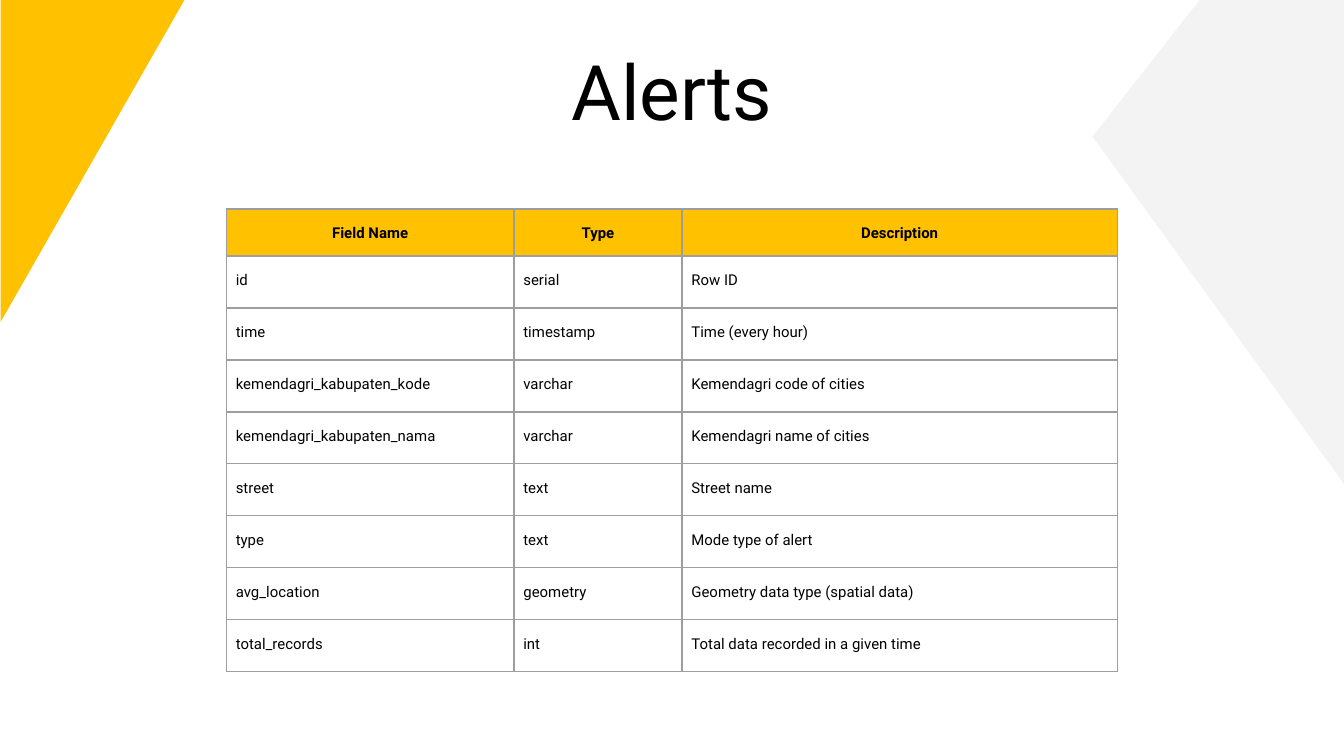
from lxml.etree import SubElement
from pptx import Presentation
from pptx.dml.color import RGBColor
from pptx.enum.shapes import MSO_SHAPE as Shape
from pptx.enum.text import MSO_ANCHOR as Anchor, MSO_AUTO_SIZE as AutoSize, PP_ALIGN as Align
from pptx.oxml.ns import qn
from pptx.util import Inches, Pt

YELLOW, GRAY, LINE, BLACK = "FFC100", "F3F3F3", "9E9E9E", "000000"
COLUMNS = [Inches(2.14), Inches(1.25), Inches(3.24)]
HEADER_HEIGHT, ROW_HEIGHT = Pt(23), Pt(27.85)
FIELDS = [
    ("Field Name", "Type", "Description"),
    ("id", "serial", "Row ID"),
    ("time", "timestamp", "Time (every hour)"),
    ("kemendagri_kabupaten_kode", "varchar", "Kemendagri code of cities"),
    ("kemendagri_kabupaten_nama", "varchar", "Kemendagri name of cities"),
    ("street", "text", "Street name"),
    ("type", "text", "Mode type of alert"),
    ("avg_location", "geometry", "Geometry data type (spatial data)"),
    ("total_records", "int", "Total data recorded in a given time"),
]


def color(value):
    """Turn a hex string into a colour."""
    return RGBColor.from_string(value)


def write(tf, text, size, bold=False, align=Align.LEFT, spacing=1.0, before=0):
    """Put one formatted paragraph into a text frame."""
    p = tf.paragraphs[0]
    p.alignment, p.line_spacing, p.space_before = align, spacing, Pt(before)
    r = p.add_run()
    r.text = text
    r.font.name, r.font.size, r.font.bold = "Roboto", Pt(size), bold
    r.font.color.rgb = color(BLACK)


def add_corner(s, kind, box, rotation, fill):
    """Add a plain rotated triangle that decorates a corner."""
    sp = s.shapes.add_shape(kind, *map(Inches, box))
    sp.rotation = rotation
    sp.shadow.inherit = False
    sp.fill.solid()
    sp.fill.fore_color.rgb = color(fill)
    sp.line.fill.background()
    return sp


def set_title(s, text):
    """Place and fill the title placeholder."""
    sp = s.shapes.title
    sp.left, sp.top, sp.width, sp.height = map(Inches, (0.57, 0.23, 8.86, 0.63))
    tf = sp.text_frame
    tf.margin_left = tf.margin_top = tf.margin_right = tf.margin_bottom = Inches(0.1)
    tf.vertical_anchor, tf.auto_size = Anchor.TOP, AutoSize.NONE
    write(tf, text, 41, align=Align.CENTER)


def set_borders(cell, widths):
    """Draw the left, right, top and bottom borders of a cell."""
    tc_pr = cell._tc.get_or_add_tcPr()
    for side, width in zip("LRTB", widths):
        ln = SubElement(tc_pr, qn(f"a:ln{side}"), w=str(Pt(width)))
        fill = SubElement(ln, qn("a:solidFill"))
        SubElement(fill, qn("a:srgbClr"), val=LINE)


def fill_cell(cell, text, header):
    """Write and format one table cell."""
    cell.margin_left = cell.margin_right = Inches(0.07)
    cell.margin_top = cell.margin_bottom = Inches(0.1)
    set_borders(cell, (1, 1, 1, 0.75) if header else (0.75,) * 4)
    if header:
        cell.fill.solid()
        cell.fill.fore_color.rgb = color(YELLOW)
    else:
        cell.fill.background()
    write(cell.text_frame, text, 8, bold=header, spacing=1.15, before=12,
          align=Align.CENTER if header else Align.LEFT)


def add_field_table(s, left, top):
    """Add the table of fields with its header row."""
    heights = [HEADER_HEIGHT] + [ROW_HEIGHT] * (len(FIELDS) - 1)
    table = s.shapes.add_table(len(FIELDS), len(COLUMNS), left, top,
                               sum(COLUMNS), sum(heights)).table
    table.first_row = table.horz_banding = False
    for column, width in zip(table.columns, COLUMNS):
        column.width = width
    for i, (row, height) in enumerate(zip(table.rows, heights)):
        row.height = height
        for cell, text in zip(row.cells, FIELDS[i]):
            fill_cell(cell, text, header=i == 0)


def main():
    """Build the slide and save it."""
    prs = Presentation()
    prs.slide_width = Inches(10)
    prs.slide_height = prs.slide_width * 9 // 16
    s = prs.slides.add_slide(prs.slide_layouts[5])
    right = add_corner(s, Shape.ISOSCELES_TRIANGLE, (6.58, 0.18, 4.97, 1.87), 270, GRAY)
    right.adjustments[0] = 0.52
    add_corner(s, Shape.RIGHT_TRIANGLE, (-0.51, 0.51, 2.4, 1.37), 90, YELLOW)
    add_field_table(s, Pt(121.3), Pt(112))
    set_title(s, "Alerts")
    prs.save("out.pptx")


if __name__ == "__main__":
    main()
